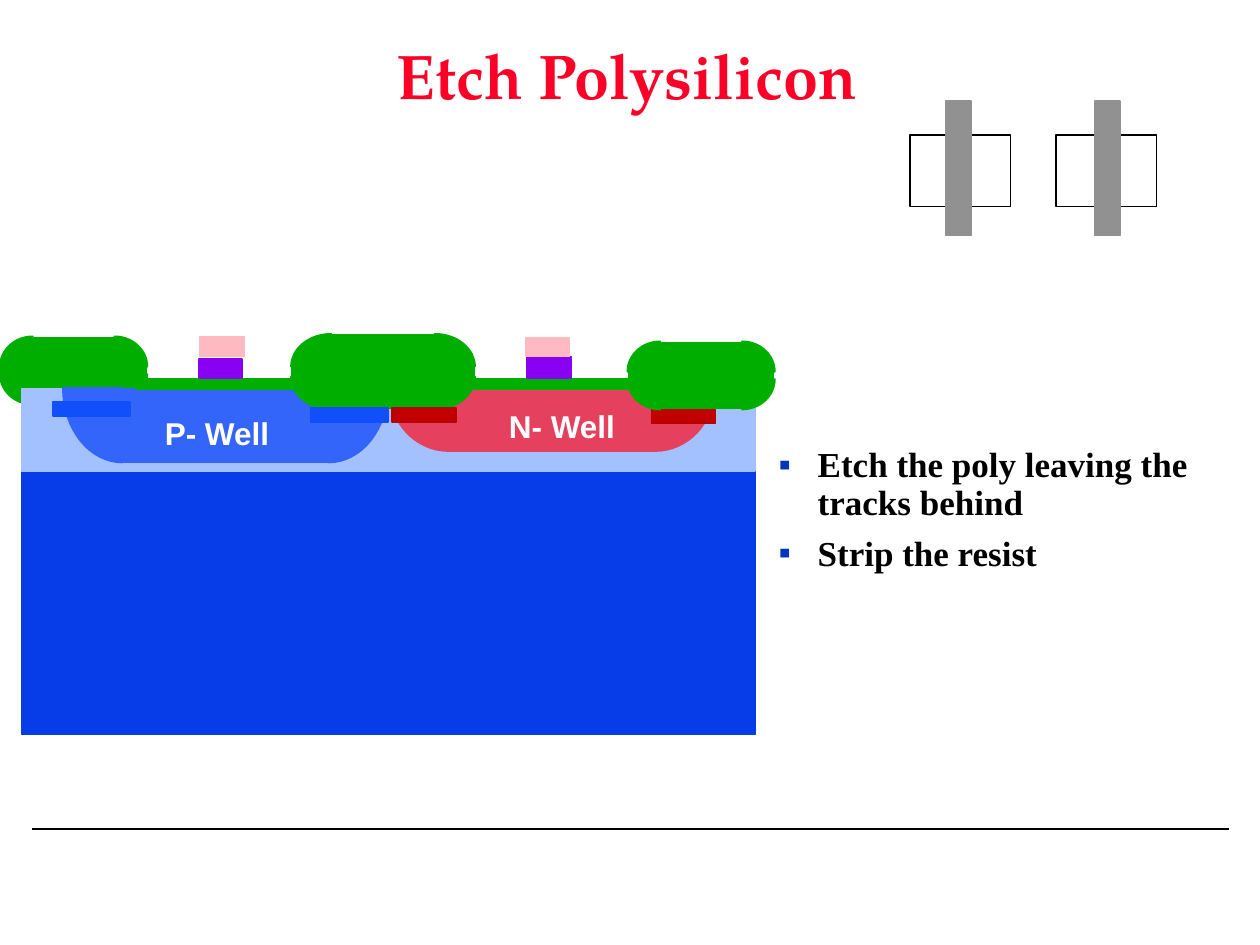
import math
import pptx
import pptx.dml.color
import pptx.enum.shapes
import pptx.enum.text
import pptx.oxml
import pptx.oxml.ns
import pptx.util

Inches = pptx.util.Inches
Pt = pptx.util.Pt
RGB = pptx.dml.color.RGBColor
Shape = pptx.enum.shapes.MSO_SHAPE
Align = pptx.enum.text.PP_ALIGN
Anchor = pptx.enum.text.MSO_ANCHOR
Fit = pptx.enum.text.MSO_AUTO_SIZE

BLACK = RGB(0x00, 0x00, 0x00)
WHITE = RGB(0xFF, 0xFF, 0xFF)
TITLE = RGB(0xFC, 0x01, 0x28)
BULLET = RGB(0x02, 0x37, 0xBC)
GRAY = RGB(0x91, 0x91, 0x91)
OXIDE = RGB(0x00, 0xAE, 0x00)
BULK = RGB(0x06, 0x3D, 0xE8)
EPI = RGB(0xA2, 0xC1, 0xFE)
NWELL = RGB(0xE5, 0x40, 0x5D)
PWELL = RGB(0x33, 0x65, 0xFB)
PSTOP = RGB(0x11, 0x4F, 0xFB)
NSTOP = RGB(0xC2, 0x00, 0x00)
NEDGE = RGB(0xBA, 0x00, 0x00)
POLY = RGB(0x89, 0x01, 0xF3)
RESIST = RGB(0xFE, 0xB9, 0xC1)

HEAD = {"name": "TeX Gyre Pagella", "size": Pt(36), "bold": True}
LIST = {"name": "Times New Roman", "size": Pt(20), "bold": True}
LABEL = {"name": "Arial", "size": Pt(18), "bold": True}


def place(shape, box):
    for key, val in zip(("left", "top", "width", "height"), box):
        setattr(shape, key, Inches(val))


def write(par, text, style, color):
    run = par.add_run()
    run.text = text
    for key, val in style.items():
        setattr(run.font, key, val)
    run.font.color.rgb = color


def paint(shape, fill, edge=None):
    shape.shadow.inherit = False
    shape.fill.solid()
    shape.fill.fore_color.rgb = fill
    shape.line.color.rgb = fill if edge is None else edge
    shape.line.width = Pt(1)


def block(slide, box, fill, edge=None):
    shape = slide.shapes.add_shape(Shape.RECTANGLE, *map(Inches, box))
    paint(shape, fill, edge)


def wedge(slide, x, y, rx, ry, fill):
    """Quarter ellipse about (x, y); the signs of rx and ry pick the quarter."""
    turns = [math.pi / 2 * i / 16 for i in range(17)]
    rim = [(Inches(x + rx * math.cos(t)), Inches(y + ry * math.sin(t)))
           for t in turns]
    form = slide.shapes.build_freeform(Inches(x), Inches(y))
    form.add_line_segments(rim, close=True)
    paint(form.convert_to_shape(), fill)


def oxide(slide, box, rad):
    """Field oxide: four rounded corners, a waist and a core."""
    x, y, w, h = box
    rx, ry = rad
    low, high = y + h - ry, y + ry
    for cx, sx in ((x + rx, -rx), (x + w - rx, rx)):
        wedge(slide, cx, low, sx, ry, OXIDE)
        wedge(slide, cx, high, sx, -ry, OXIDE)
    block(slide, (x + 0.01, high, w - 0.02, low - high), OXIDE)
    block(slide, (x + rx, y + 0.01, w - 2 * rx, h - 0.02), OXIDE)


def well(slide, box, fill):
    """Well with a flat top and rounded lower corners."""
    x, y, w, h = box
    rad = 0.47
    wedge(slide, x + rad, y, -rad, h, fill)
    wedge(slide, x + w - rad, y, rad, h, fill)
    block(slide, (x + rad, y + 0.01, w - 2 * rad, h - 0.01), fill)


def label(slide, box, text):
    shape = slide.shapes.add_textbox(*map(Inches, box))
    frame = shape.text_frame
    frame.word_wrap = False
    frame.auto_size = Fit.SHAPE_TO_FIT_TEXT
    write(frame.paragraphs[0], text, LABEL, WHITE)


def section(slide, box):
    """Cross section of the wafer."""
    left, top, wide, high = box

    def at(x, y, w, h):
        return left + x, top + y, w, h

    # Left oxide, then substrate and epitaxial layer over it
    oxide(slide, at(0, 0.02, 1.17, 0.54), (0.26, 0.24))
    for depth, fill in ((high - 0.44, BULK), (0.65, EPI)):
        block(slide, at(0.17, 0.44, wide - 0.33, depth), fill)

    # Wells
    well(slide, at(3.09, 0.43, 2.58, 0.5), NWELL)
    well(slide, at(0.5, 0.43, 2.58, 0.59), PWELL)
    label(slide, at(1.21, 0.59, 1.04, 0.4), "P- Well")
    label(slide, at(3.94, 0.53, 1.05, 0.4), "N- Well")

    # Thin oxide and middle oxide
    for x, w in ((1.08, 1.33), (3.76, 1.24)):
        block(slide, at(x, 0.36, w, 0.08), OXIDE)
    oxide(slide, at(2.31, 0, 1.46, 0.6), (0.32, 0.26))

    # Channel stops
    for x, y, w, fill, edge in ((2.47, 0.59, 0.61, PSTOP, PSTOP),
                                (0.42, 0.54, 0.61, PSTOP, PSTOP),
                                (3.11, 0.59, 0.51, NSTOP, NEDGE),
                                (5.17, 0.6, 0.51, NSTOP, NEDGE)):
        block(slide, at(x, y, w, 0.11), fill, edge)

    # Gates with resist on top
    for x, y, w, h, fill in ((1.58, 0.2, 0.34, 0.15, POLY),
                             (4.18, 0.18, 0.35, 0.17, POLY),
                             (1.59, 0.02, 0.35, 0.16, RESIST),
                             (4.17, 0.03, 0.35, 0.15, RESIST)):
        block(slide, at(x, y, w, h), fill)

    # Right oxide
    oxide(slide, at(4.98, 0.06, 1.17, 0.54), (0.26, 0.24))


def layout(slide, box):
    """Top view: two active areas, each crossed by a poly track."""
    x, y, wide, high = box
    for area, track in ((0, 0.29), (wide - 0.8, 1.47)):
        block(slide, (x + area, y + 0.27, 0.8, 0.57), WHITE, BLACK)
        block(slide, (x + track, y, 0.2, high), GRAY)


def heading(slide, box):
    shape = slide.shapes.title
    place(shape, box)
    frame = shape.text_frame
    frame.auto_size = Fit.NONE
    frame.vertical_anchor = Anchor.MIDDLE
    par = frame.paragraphs[0]
    par.alignment = Align.CENTER
    par.line_spacing = 0.9
    write(par, "Etch Polysilicon", HEAD, TITLE)


def bullets(slide, box):
    shape = slide.placeholders[1]
    place(shape, box)
    frame = shape.text_frame
    frame.auto_size = Fit.NONE
    lines = ("Etch the poly leaving the tracks behind", "Strip the resist")
    for i, text in enumerate(lines):
        par = frame.add_paragraph() if i else frame.paragraphs[0]
        props = par._p.get_or_add_pPr()
        props.set("marL", str(Inches(0.31)))
        props.set("indent", str(-Inches(0.31)))
        space = pptx.oxml.ns.nsdecls("a")
        for xml in (f'<a:buClr {space}><a:srgbClr val="{BULLET}"/></a:buClr>',
                    f'<a:buChar {space} char="▪"/>'):
            props.append(pptx.oxml.parse_xml(xml))
        par.line_spacing = 0.9
        par.space_before = Pt(7.5 if i else 0)
        write(par, text, LIST, BLACK)


def rule(slide, box):
    x, y, w, h = box
    line = slide.shapes.add_connector(
        pptx.enum.shapes.MSO_CONNECTOR.STRAIGHT,
        *map(Inches, (x, y, x + w, y + h)))
    line.line.color.rgb = BLACK
    line.line.width = Pt(1)
    flat = f'<a:effectLst {pptx.oxml.ns.nsdecls("a")}/>'
    line._element.spPr.append(pptx.oxml.parse_xml(flat))


def main():
    deck = pptx.Presentation()
    deck.slide_width, deck.slide_height = Inches(10), Inches(7.5)
    slide = deck.slides.add_slide(deck.slide_layouts[1])
    rule(slide, (0.25, 6.58, 9.5, 0))
    heading(slide, (1.06, 0, 7.83, 1.25))
    bullets(slide, (6.08, 3.5, 3.69, 2.48))
    layout(slide, (7.22, 0.8, 1.96, 1.07))
    section(slide, (0, 2.65, 6.15, 3.18))
    deck.save("out.pptx")


if __name__ == "__main__":
    main()
